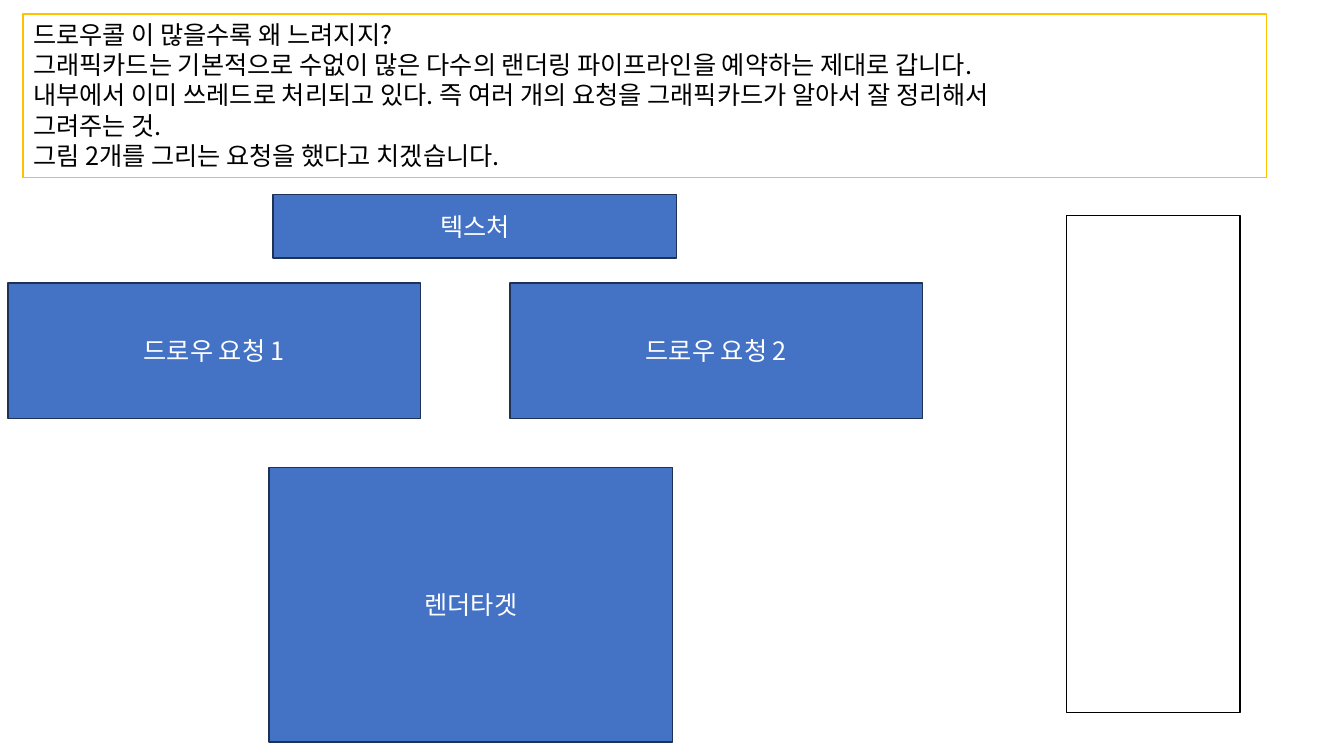
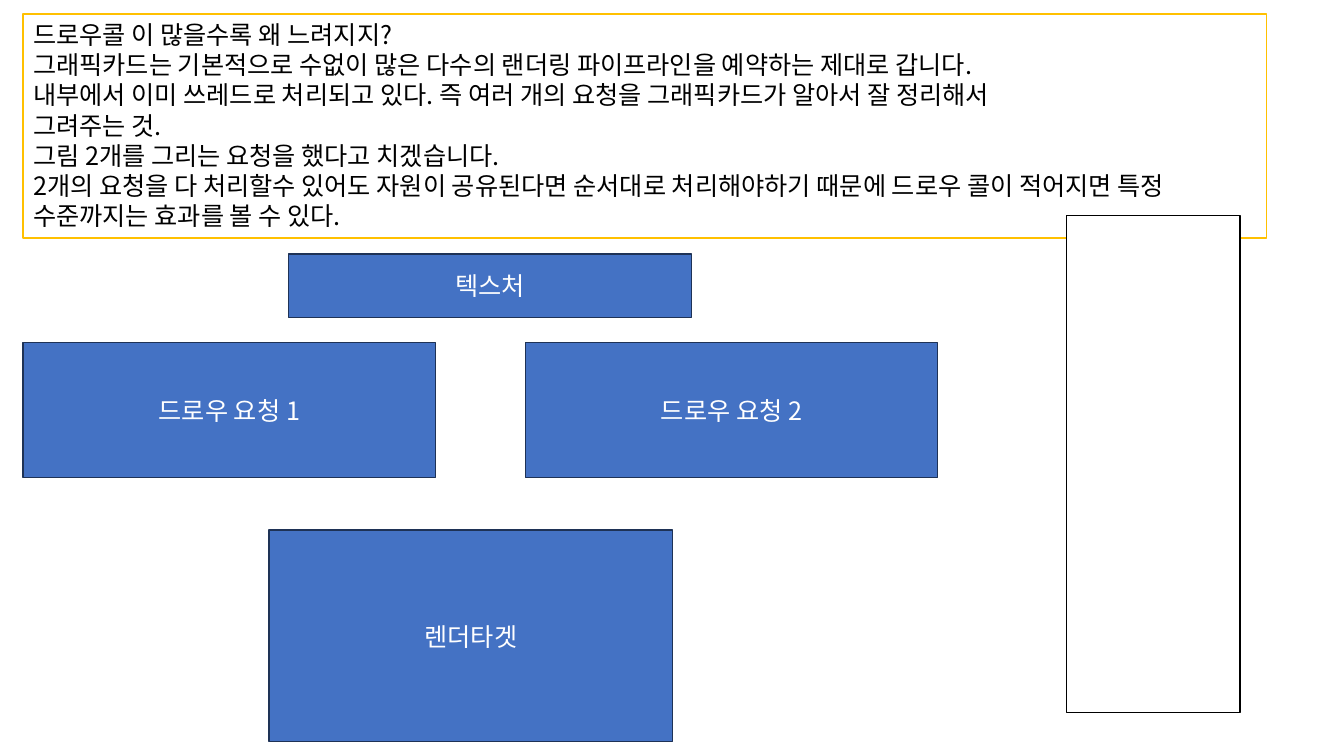
from pptx import Presentation
from pptx.dml.color import RGBColor
from pptx.enum.shapes import MSO_SHAPE as Shape
from pptx.enum.text import MSO_ANCHOR as Anchor, MSO_AUTO_SIZE as AutoSize, PP_ALIGN as Align
from pptx.oxml.ns import qn
from pptx.util import Emu, Pt

PX = 9144  # 100 px to the inch
FONT = "Noto Sans CJK KR"
WHITE, BLACK = "FFFFFF", "000000"
BLUE, NAVY, AMBER = "4472C4", "1E3256", "FFC000"

EXPLANATION = [
    "드로우콜 이 많을수록 왜 느려지지?",
    "그래픽카드는 기본적으로 수없이 많은 다수의 랜더링 파이프라인을 예약하는 제대로 갑니다.",
    "내부에서 이미 쓰레드로 처리되고 있다. 즉 여러 개의 요청을 그래픽카드가 알아서 잘 정리해서",
    "그려주는 것.",
    "그림 2개를 그리는 요청을 했다고 치겠습니다.",
]
CONCLUSION = ("2개의 요청을 다 처리할수 있어도 자원이 공유된다면 순서대로 처리해야하기 때문에 "
              "드로우 콜이 적어지면 특정 수준까지는 효과를 볼 수 있다.")


def color(hex_value):
    return RGBColor.from_string(hex_value)


def add_box(slide, box, fill, line):
    rect = slide.shapes.add_shape(Shape.RECTANGLE, *(Emu(n * PX) for n in box))
    rect.shadow.inherit = False
    rect.fill.solid()
    rect.fill.fore_color.rgb = color(fill)
    rect.line.color.rgb = color(line)
    rect.line.width = Pt(1)
    return rect


def write(frame, lines, ink, align, anchor):
    frame.word_wrap = True
    frame.vertical_anchor = anchor
    for index, line in enumerate(lines):
        paragraph = frame.paragraphs[0] if index == 0 else frame.add_paragraph()
        paragraph.text = line
        paragraph.alignment = align
        font = paragraph.font
        font.size = Pt(18)
        font.color.rgb = color(ink)
        font.name = FONT
        # Korean glyphs take the East Asian typeface
        paragraph._p.pPr.find(qn("a:defRPr")).makeelement
        east_asian = paragraph._p.pPr.find(qn("a:defRPr"))
        east_asian.append(east_asian.makeelement(qn("a:ea"), {"typeface": FONT}))


def add_explanation(slide, box, lines):
    panel = add_box(slide, box, WHITE, AMBER)
    write(panel.text_frame, lines, BLACK, Align.LEFT, Anchor.TOP)
    panel.text_frame.auto_size = AutoSize.SHAPE_TO_FIT_TEXT


def add_block(slide, box, label):
    block = add_box(slide, box, BLUE, NAVY)
    write(block.text_frame, [label], WHITE, Align.CENTER, Anchor.MIDDLE)


def add_requests(slide, left, top):
    # Two draw requests below the texture they share
    for index in range(2):
        add_block(slide, (left + index * 498, top + 88, 409, 134), f"드로우 요청 {index + 1}")
    add_block(slide, (left + 263, top, 400, 63), "텍스처")


def add_draw_call_slide(deck, lines, panel_height, target_top, requests_at):
    slide = deck.slides.add_slide(deck.slide_layouts[6])
    add_explanation(slide, (23, 14, 1233, panel_height), lines)
    # Empty column on the right
    add_box(slide, (1058, 214, 172, 493), WHITE, BLACK)
    # Render target, always ending at the same height
    add_block(slide, (267, target_top, 400, 736 - target_top), "렌더타겟")
    add_requests(slide, *requests_at)


def main():
    deck = Presentation()
    deck.slide_width, deck.slide_height = Emu(1333 * PX), Emu(750 * PX)
    add_draw_call_slide(deck, EXPLANATION, 162, 464, (8, 193))
    # A line break keeps the conclusion in the last paragraph
    extended = EXPLANATION[:-1] + [EXPLANATION[-1] + "\n" + CONCLUSION]
    add_draw_call_slide(deck, extended, 222, 526, (23, 252))
    deck.save("out.pptx")


if __name__ == "__main__":
    main()
